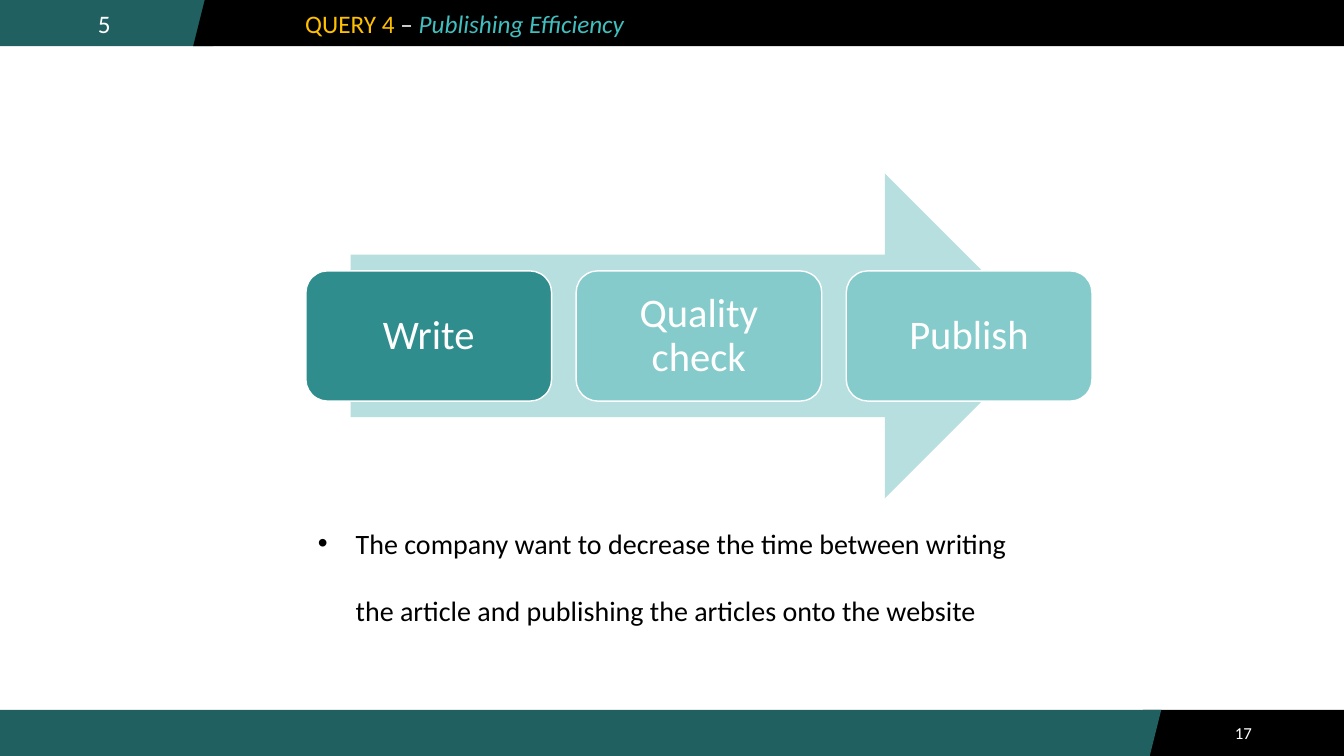
from lxml.etree import SubElement
from pptx import Presentation
from pptx.dml.color import RGBColor
from pptx.enum.shapes import MSO_SHAPE
from pptx.enum.text import MSO_ANCHOR, PP_ALIGN
from pptx.oxml.ns import qn
from pptx.util import Pt

HUES = {
    "black": "000000", "white": "FFFFFF", "deep": "206060", "teal": "308D8D",
    "aqua": "86CBCB", "pale": "B8DFDF", "gold": "FFC000", "cyan": "41BFBF",
}


def add_form(kind, left, top, width, height, hue):
    form = slide.shapes.add_shape(kind, Pt(left), Pt(top), Pt(width), Pt(height))
    form.shadow.inherit = False
    form.fill.solid()
    form.fill.fore_color.rgb = RGBColor.from_string(HUES[hue])
    form.line.fill.background()
    form.text_frame.vertical_anchor = MSO_ANCHOR.MIDDLE
    form.text_frame.paragraphs[0].alignment = PP_ALIGN.CENTER
    return form


def add_run(para, text, size, hue, slant=False):
    run = para.add_run()
    run.text = text
    run.font.name = "Calibri"
    run.font.size = Pt(size)
    run.font.italic = slant
    run.font.color.rgb = RGBColor.from_string(HUES[hue])


deck = Presentation()
deck.slide_width, deck.slide_height = Pt(960), Pt(540)
slide = deck.slides.add_slide(deck.slide_layouts[5])

# Header and footer bars
bar = 33
foot = 540 - bar
page = add_form(MSO_SHAPE.RECTANGLE, 816.5, foot, 143.5, bar, "black")
add_run(page.text_frame.paragraphs[0], "17", 12, "white")
part = add_form(MSO_SHAPE.PARALLELOGRAM, -11.5, 0, 172, bar, "deep")
add_run(part.text_frame.paragraphs[0], "5", 18, "white")
add_form(MSO_SHAPE.PARALLELOGRAM, 138, 0, 832.5, bar, "black")
add_form(MSO_SHAPE.PARALLELOGRAM, -11.5, foot, 841, bar, "deep")

# Title, raised above the header bar
title = slide.shapes.title
title.left, title.top, title.width, title.height = Pt(218), Pt(0), Pt(700), Pt(bar)
slide.shapes._spTree.append(title._element)
frame = title.text_frame
frame.margin_left = frame.margin_right = frame.margin_top = frame.margin_bottom = 0
frame.vertical_anchor = MSO_ANCHOR.MIDDLE
head = frame.paragraphs[0]
head.alignment = PP_ALIGN.LEFT
add_run(head, "QUERY 4 ", 18, "gold")
add_run(head, "– ", 18, "white")
add_run(head, "Publishing Efficiency", 18, "cyan", True)

# Bulleted note
note = slide.shapes.add_textbox(Pt(220), Pt(348.5), Pt(520), Pt(121))
note.text_frame.word_wrap = True
para = note.text_frame.paragraphs[0]
para.line_spacing = 2.0
props = para._p.get_or_add_pPr()
props.set("marL", str(Pt(27)))
props.set("indent", str(-Pt(27)))
SubElement(props, qn("a:buFont"), typeface="Arial")
SubElement(props, qn("a:buChar"), char="•")
add_run(para, "The company want to decrease the time between writing the article "
        "and publishing the articles onto the website", 20, "black")

# Process arrow with its steps
add_form(MSO_SHAPE.RIGHT_ARROW, 250.5, 124, 497.5, 232, "pale")
steps = [("Write", "teal"), ("Quality check", "aqua"), ("Publish", "aqua")]
for i, (name, hue) in enumerate(steps):
    step = add_form(MSO_SHAPE.ROUNDED_RECTANGLE, 218.5 + 193 * i, 193.5, 175.5, 93, hue)
    step.line.color.rgb = RGBColor.from_string(HUES["white"])
    step.line.width = Pt(1)
    frame = step.text_frame
    frame.word_wrap = True
    frame.margin_left = frame.margin_right = Pt(13.5)
    para = frame.paragraphs[0]
    para.line_spacing = 0.9
    add_run(para, name, 29, "white")

deck.save("out.pptx")
